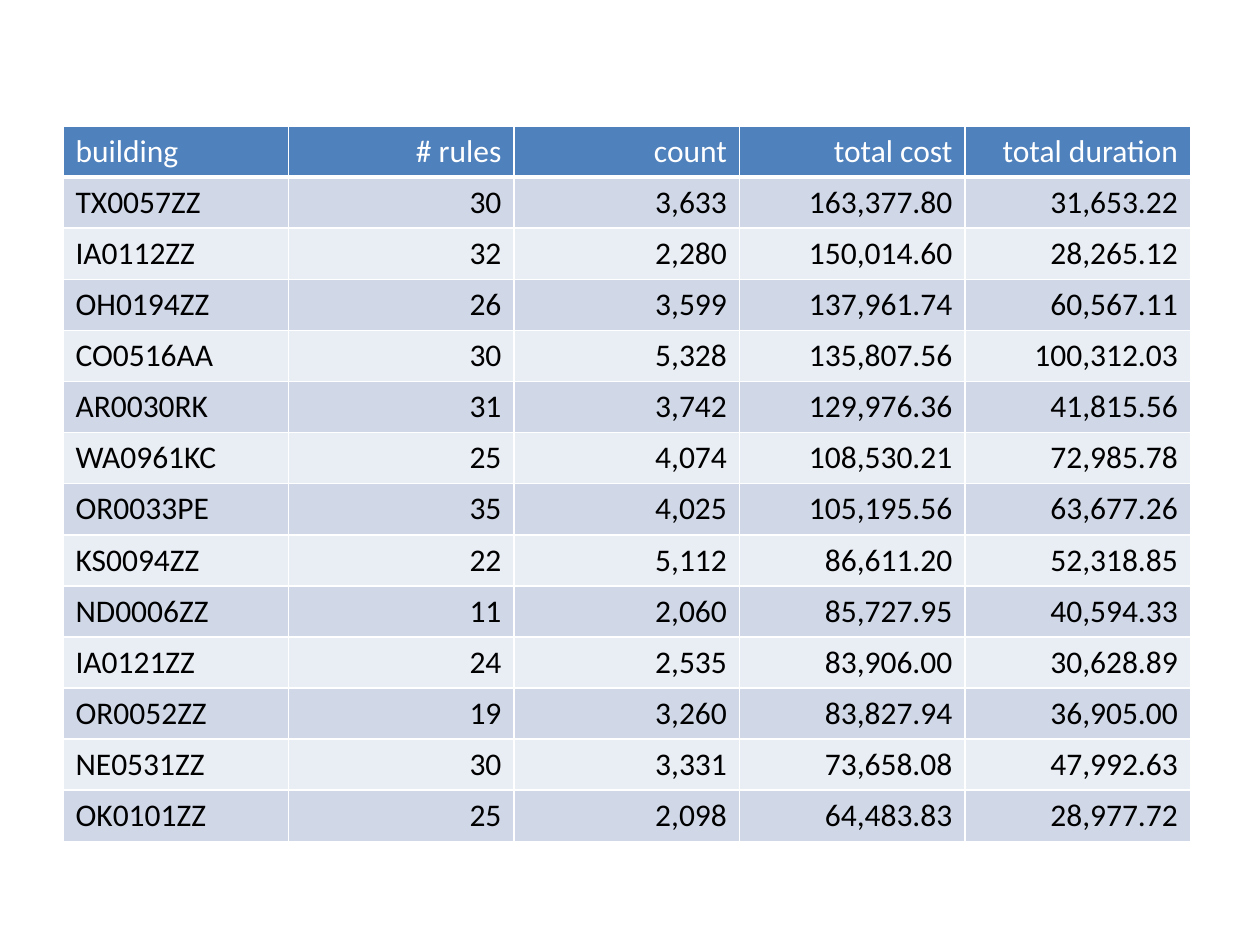
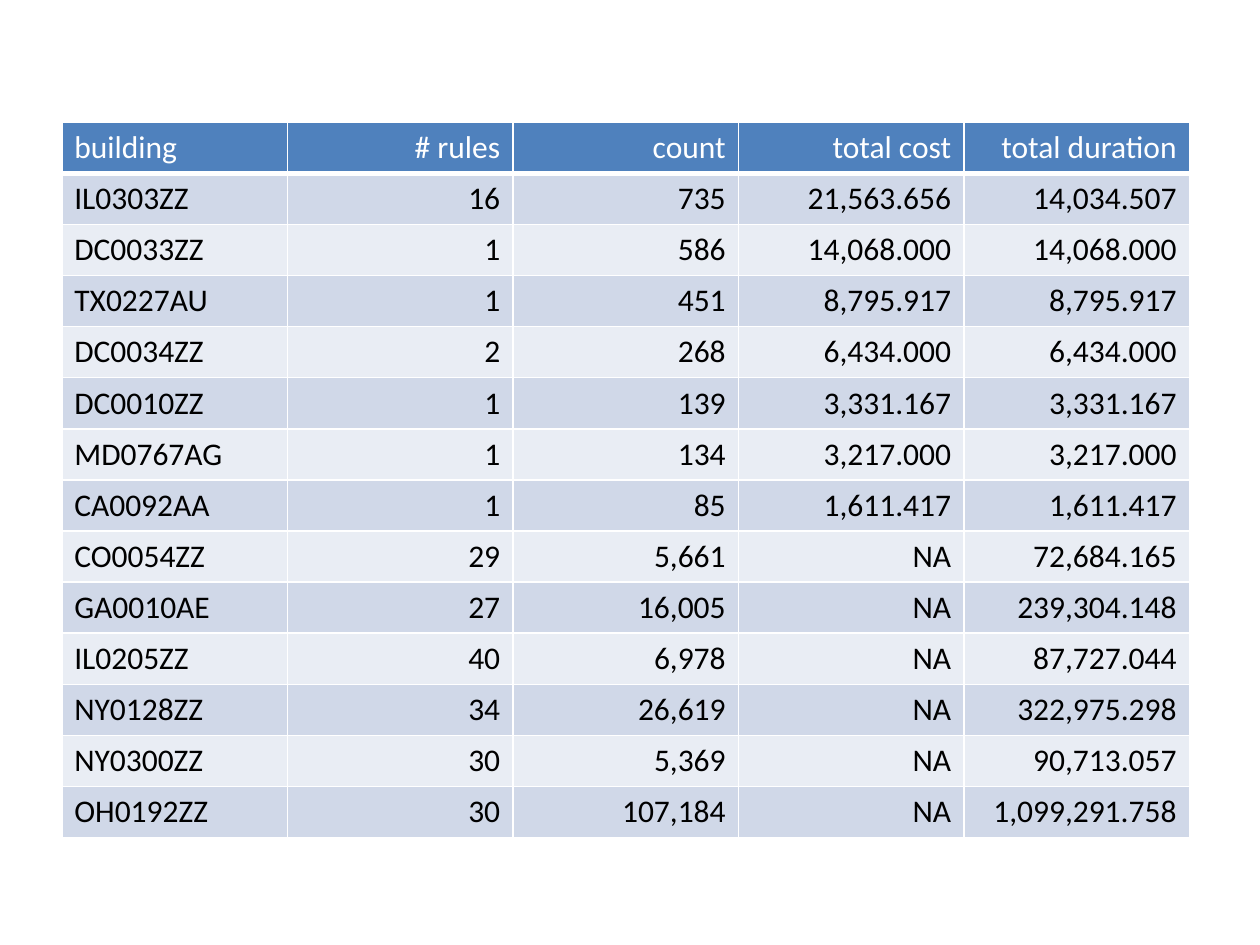
from lxml.etree import SubElement
from pptx import Presentation
from pptx.dml.color import RGBColor
from pptx.enum.text import PP_ALIGN
from pptx.oxml.ns import qn
from pptx.util import Inches, Pt

# Shared look
WHITE = RGBColor(0xFF, 0xFF, 0xFF)
BLACK = RGBColor(0x00, 0x00, 0x00)
HEADER_BLUE = RGBColor(0x4F, 0x81, 0xBD)
BAND_DARK = RGBColor(0xD0, 0xD8, 0xE8)
BAND_LIGHT = RGBColor(0xE9, 0xED, 0xF4)
FONT_FORMAT = {"name": "Calibri", "size": Pt(18), "bold": False}
COLUMN_WIDTH = 1.79
ROW_HEIGHT = 0.4
HEADINGS = ("building", "# rules", "count", "total cost", "total duration")

# Table contents
COSTLIEST_BUILDINGS = [
    ("TX0057ZZ", "30", "3,633", "163,377.80", "31,653.22"),
    ("IA0112ZZ", "32", "2,280", "150,014.60", "28,265.12"),
    ("OH0194ZZ", "26", "3,599", "137,961.74", "60,567.11"),
    ("CO0516AA", "30", "5,328", "135,807.56", "100,312.03"),
    ("AR0030RK", "31", "3,742", "129,976.36", "41,815.56"),
    ("WA0961KC", "25", "4,074", "108,530.21", "72,985.78"),
    ("OR0033PE", "35", "4,025", "105,195.56", "63,677.26"),
    ("KS0094ZZ", "22", "5,112", "86,611.20", "52,318.85"),
    ("ND0006ZZ", "11", "2,060", "85,727.95", "40,594.33"),
    ("IA0121ZZ", "24", "2,535", "83,906.00", "30,628.89"),
    ("OR0052ZZ", "19", "3,260", "83,827.94", "36,905.00"),
    ("NE0531ZZ", "30", "3,331", "73,658.08", "47,992.63"),
    ("OK0101ZZ", "25", "2,098", "64,483.83", "28,977.72"),
]
REMAINING_BUILDINGS = [
    ("IL0303ZZ", "16", "735", "21,563.656", "14,034.507"),
    ("DC0033ZZ", "1", "586", "14,068.000", "14,068.000"),
    ("TX0227AU", "1", "451", "8,795.917", "8,795.917"),
    ("DC0034ZZ", "2", "268", "6,434.000", "6,434.000"),
    ("DC0010ZZ", "1", "139", "3,331.167", "3,331.167"),
    ("MD0767AG", "1", "134", "3,217.000", "3,217.000"),
    ("CA0092AA", "1", "85", "1,611.417", "1,611.417"),
    ("CO0054ZZ", "29", "5,661", "NA", "72,684.165"),
    ("GA0010AE", "27", "16,005", "NA", "239,304.148"),
    ("IL0205ZZ", "40", "6,978", "NA", "87,727.044"),
    ("NY0128ZZ", "34", "26,619", "NA", "322,975.298"),
    ("NY0300ZZ", "30", "5,369", "NA", "90,713.057"),
    ("OH0192ZZ", "30", "107,184", "NA", "1,099,291.758"),
]


def set_borders(cell, bottom_width):
    """Draw white lines on all four sides of a cell."""
    properties = cell._tc.get_or_add_tcPr()
    widths = {"a:lnL": 1, "a:lnR": 1, "a:lnT": 1, "a:lnB": bottom_width}
    for tag, width in widths.items():
        line = SubElement(properties, qn(tag), w=str(Pt(width)))
        fill = SubElement(line, qn("a:solidFill"))
        SubElement(fill, qn("a:srgbClr"), val=str(WHITE))


def fill_cell(cell, text, alignment, background, text_color, bottom_width):
    set_borders(cell, bottom_width)
    cell.fill.solid()
    cell.fill.fore_color.rgb = background
    paragraph = cell.text_frame.paragraphs[0]
    paragraph.alignment = alignment
    run = paragraph.add_run()
    run.text = text
    for attribute, value in FONT_FORMAT.items():
        setattr(run.font, attribute, value)
    run.font.color.rgb = text_color


def row_style(row_index):
    """Return background, text colour and bottom line width of a row."""
    if row_index == 0:
        return HEADER_BLUE, WHITE, 3
    return (BAND_DARK if row_index % 2 else BAND_LIGHT), BLACK, 1


def add_building_table(slide, left, top, buildings):
    rows = [HEADINGS, *buildings]
    table = slide.shapes.add_table(
        len(rows), len(HEADINGS), Inches(left), Inches(top),
        Inches(COLUMN_WIDTH * len(HEADINGS)), Inches(ROW_HEIGHT * len(rows)),
    ).table
    for column in table.columns:
        column.width = Inches(COLUMN_WIDTH)
    for row_index, texts in enumerate(rows):
        table.rows[row_index].height = Inches(ROW_HEIGHT)
        for column_index, text in enumerate(texts):
            alignment = PP_ALIGN.RIGHT if column_index else PP_ALIGN.LEFT
            fill_cell(table.cell(row_index, column_index), text, alignment,
                      *row_style(row_index))


def main():
    presentation = Presentation()
    presentation.slide_width = Inches(10)
    presentation.slide_height = Inches(7.5)
    blank_layout = presentation.slide_layouts[6]

    # One table per slide
    for left, top, buildings in (
        (0.5, 1, COSTLIEST_BUILDINGS),
        (0.49, 0.97, REMAINING_BUILDINGS),
    ):
        slide = presentation.slides.add_slide(blank_layout)
        add_building_table(slide, left, top, buildings)

    presentation.save("out.pptx")


if __name__ == "__main__":
    main()
